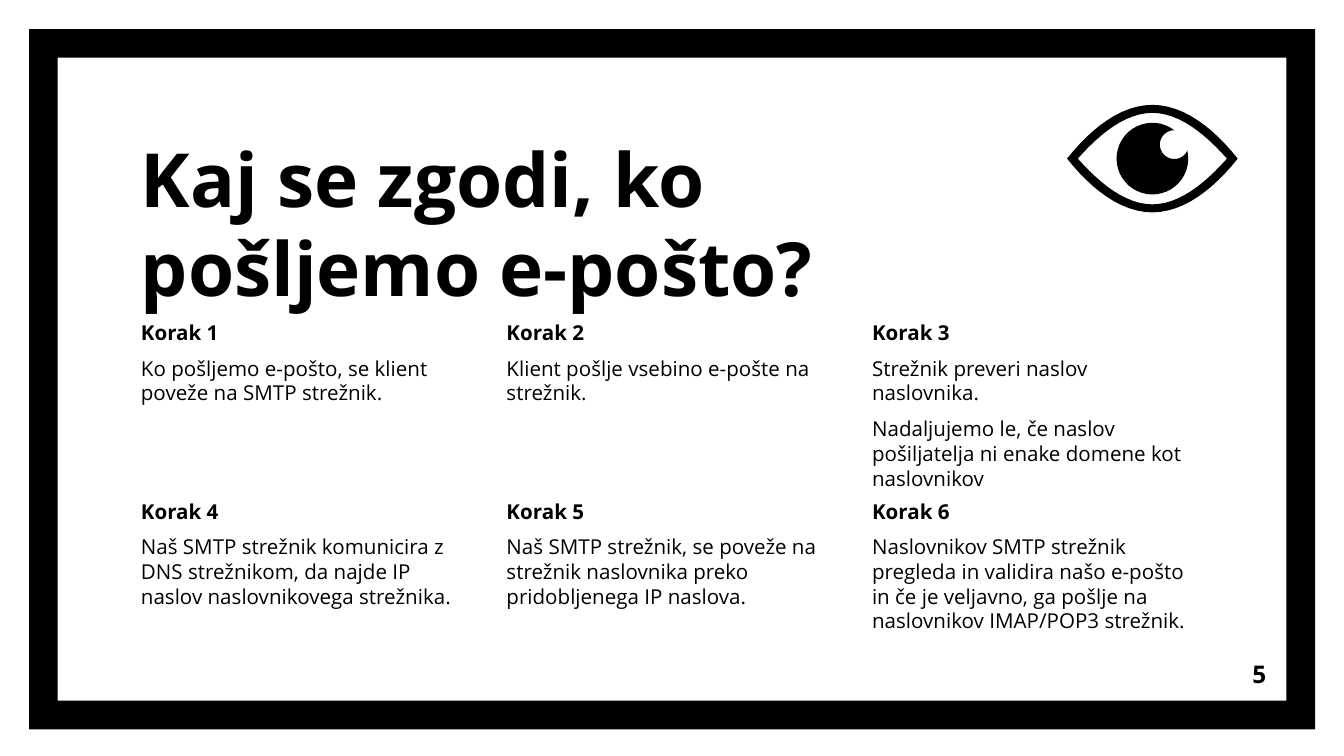
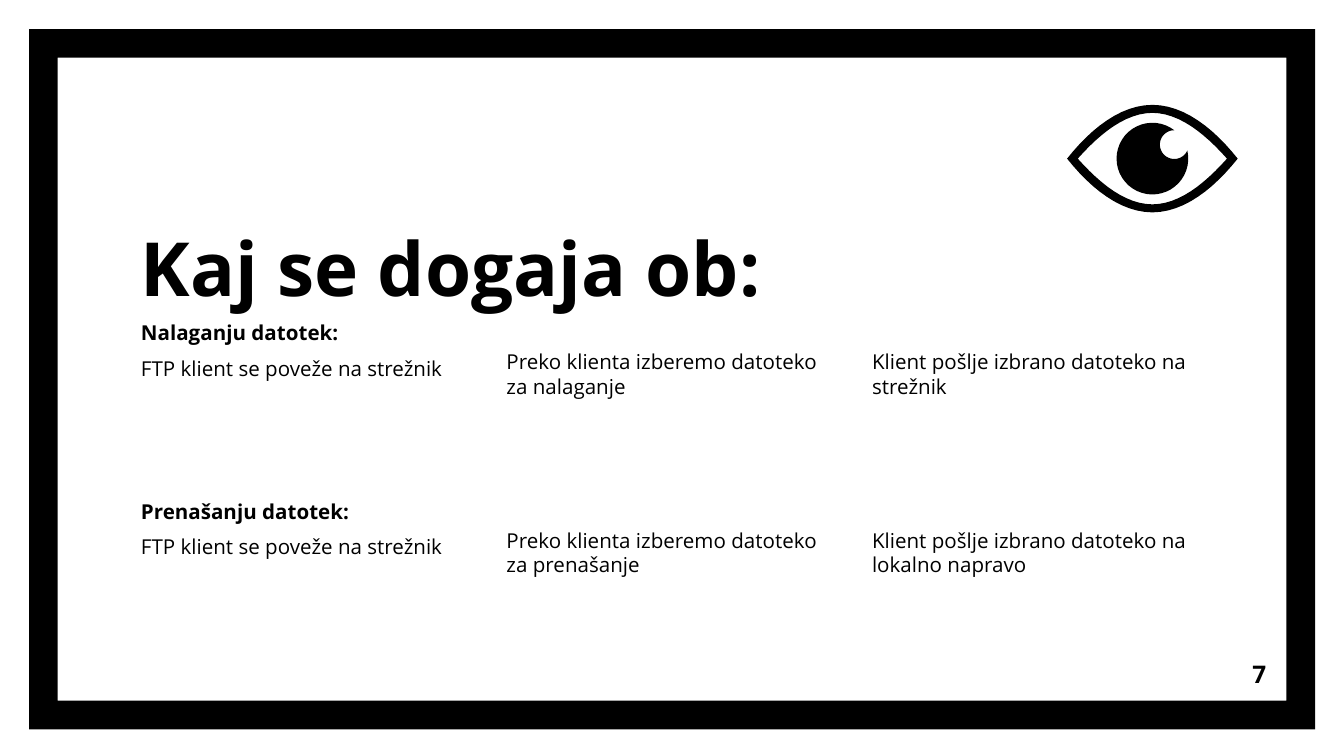
"""Build two slides on sending mail and moving files."""
from math import cos, radians, sin

from pptx import Presentation
from pptx.dml.color import RGBColor
from pptx.enum.shapes import MSO_SHAPE
from pptx.enum.text import MSO_ANCHOR, PP_ALIGN
from pptx.util import Pt

HUES = {"ink": "000000"}
FACE = "Open Sans"
HEAD = {"size": Pt(40), "bold": True}
STEP = {"size": Pt(11), "bold": True}
BODY = {"size": Pt(11), "bold": False}
PAGE = {"size": Pt(13), "bold": True}
LEFT, TOP, WIDE, HIGH = 68.4, 164.2, 186.5, 110.9
COL, ROW = 195.84, 95.7
INSET, SKIP = 7.2, 19.2
EYE = (617.4, 85)
LID = [(45.7, 0), (33, 16), (17, 28.8), (0, 28.8)]
RIM = [(40, 0), (27.5, 14), (14, 24.5), (0, 24.5)]

SLIDES = [
    ("5", "Kaj se zgodi, ko pošljemo e-pošto?", [
        ("Korak 1", "Ko pošljemo e-pošto, se klient poveže na SMTP strežnik."),
        ("Korak 2", "Klient pošlje vsebino e-pošte na strežnik."),
        ("Korak 3", "Strežnik preveri naslov naslovnika.",
         "Nadaljujemo le, če naslov pošiljatelja ni enake domene kot naslovnikov"),
        ("Korak 4", "Naš SMTP strežnik komunicira z DNS strežnikom, "
         "da najde IP naslov naslovnikovega strežnika."),
        ("Korak 5", "Naš SMTP strežnik, se poveže na strežnik naslovnika "
         "preko pridobljenega IP naslova."),
        ("Korak 6", "Naslovnikov SMTP strežnik pregleda in validira našo e-pošto "
         "in če je veljavno, ga pošlje na naslovnikov IMAP/POP3 strežnik."),
    ]),
    ("7", "Kaj se dogaja ob:", [
        ("Nalaganju datotek:", "FTP klient se poveže na strežnik"),
        ("", "Preko klienta izberemo datoteko za nalaganje"),
        ("", "Klient pošlje izbrano datoteko na strežnik"),
        ("Prenašanju datotek:", "FTP klient se poveže na strežnik"),
        ("", "Preko klienta izberemo datoteko za prenašanje"),
        ("", "Klient pošlje izbrano datoteko na lokalno napravo"),
    ]),
]


def curve(knots, count=12):
    """Sample a cubic curve given by four knots."""
    spots = []
    for i in range(count + 1):
        t = i / count
        parts = ((1 - t) ** 3, 3 * t * (1 - t) ** 2, 3 * t * t * (1 - t), t ** 3)
        spots.append(tuple(sum(w * k[axis] for w, k in zip(parts, knots))
                           for axis in (0, 1)))
    return spots


def almond(knots):
    """Mirror a quarter curve into a closed eye outline."""
    right = curve(knots)
    half = right + [(-x, y) for x, y in right[-2::-1]]
    return half + [(x, -y) for x, y in half[-2:0:-1]]


def arc(mid, size, start, stop, count=40):
    """Sample a circle arc between two angles in degrees."""
    turns = [radians(start + (stop - start) * i / count) for i in range(count + 1)]
    return [(mid[0] + size * cos(a), mid[1] + size * sin(a)) for a in turns]


class Deck:
    """Hold the style and the current slide."""

    def __init__(self):
        """Open a blank deck of the right size."""
        self.show = Presentation()
        self.show.slide_width, self.show.slide_height = Pt(720), Pt(405)
        self.slide = None

    def start(self):
        """Add a blank slide."""
        self.slide = self.show.slides.add_slide(self.show.slide_layouts[6])

    def paint(self, shape):
        """Give a shape a plain dark fill."""
        shape.shadow.inherit = False
        shape.fill.solid()
        shape.fill.fore_color.rgb = RGBColor.from_string(HUES["ink"])
        shape.line.fill.background()

    def frame(self, box, edge):
        """Draw the border frame."""
        shape = self.slide.shapes.add_shape(MSO_SHAPE.FRAME, *map(Pt, box))
        shape.adjustments[0] = edge
        self.paint(shape)

    def outline(self, mid, *loops):
        """Draw one filled shape from closed loops around a point."""
        loops = [[(Pt(mid[0] + x), Pt(mid[1] + y)) for x, y in loop]
                 for loop in loops]
        pen = self.slide.shapes.build_freeform(*loops[0][0], scale=1.0)
        for i, loop in enumerate(loops):
            if i:
                pen.move_to(*loop[0])
            pen.add_line_segments(loop[1:], close=True)
        self.paint(pen.convert_to_shape())

    def text(self, box, lines, skip=0, align=PP_ALIGN.LEFT, **frame):
        """Write lines of text, each with its own format."""
        field = self.slide.shapes.add_textbox(*map(Pt, box)).text_frame
        style = {"word_wrap": True, "margin_left": Pt(INSET),
                 "margin_right": Pt(INSET), "margin_top": Pt(INSET + skip),
                 "margin_bottom": Pt(INSET), **frame}
        for key, value in style.items():
            setattr(field, key, value)
        for i, (words, form) in enumerate(lines):
            para = field.add_paragraph() if i else field.paragraphs[0]
            para.alignment = align
            para.space_before = Pt(6 if i else 0)
            run = para.add_run()
            run.text = words
            for key, value in {"name": FACE, **form}.items():
                setattr(run.font, key, value)
            run.font.color.rgb = RGBColor.from_string(HUES["ink"])

    def eye(self):
        """Draw the eye sign."""
        self.outline(EYE, almond(LID), almond(RIM)[::-1])
        self.outline(EYE, arc((0, 0), 19.2, -13, 308)
                     + arc((11.7, -7.5), 7.7, -90, -336))

    def grid(self, cells):
        """Write the text cells in three columns."""
        for i, (head, *body) in enumerate(cells):
            row, col = divmod(i, 3)
            lines = [(head, STEP)] if head else []
            lines += [(words, BODY) for words in body]
            self.text((LEFT + col * COL, TOP + row * ROW, WIDE, HIGH), lines,
                      skip=0 if head else SKIP)


def main():
    """Build and save the deck."""
    deck = Deck()
    for page, title, cells in SLIDES:
        deck.start()
        deck.frame((15.6, 15.6, 689, 375.2), 0.041)
        deck.text((LEFT, 67, 401, 107.3), [(title, HEAD)],
                  vertical_anchor=MSO_ANCHOR.BOTTOM)
        deck.grid(cells)
        deck.eye()
        deck.text((642.2, 345.6, 43.2, 31), [(page, PAGE)],
                  align=PP_ALIGN.RIGHT, vertical_anchor=MSO_ANCHOR.MIDDLE)
    deck.show.save("out.pptx")


if __name__ == "__main__":
    main()
